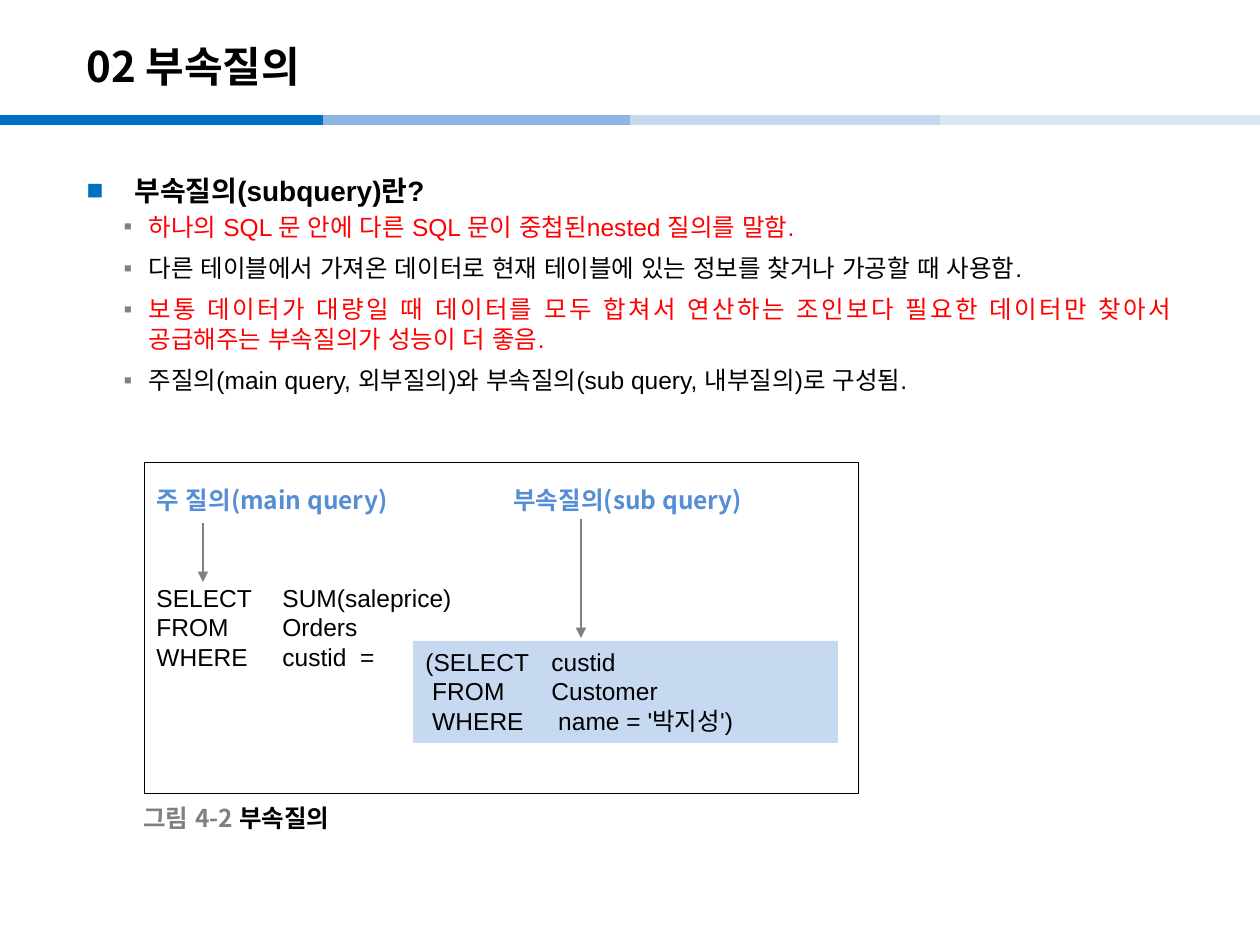
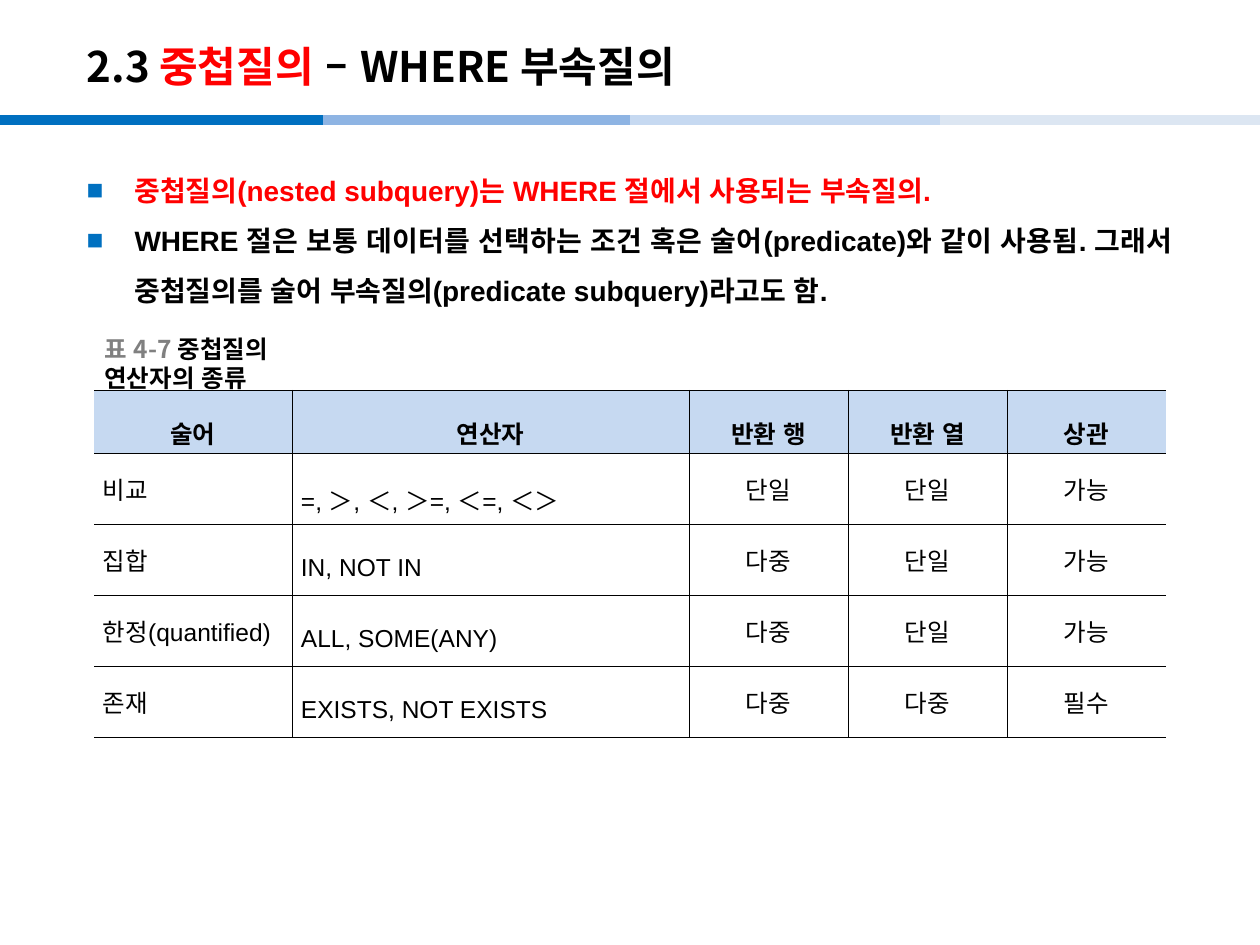
"""Build two lecture slides on SQL subqueries."""
from lxml.etree import SubElement as Sub
from pptx import Presentation as Deck
from pptx.dml.color import RGBColor as RGB
from pptx.enum.lang import MSO_LANGUAGE_ID as Lang
from pptx.enum.shapes import MSO_CONNECTOR as Link, MSO_SHAPE as Shape
from pptx.enum.text import MSO_ANCHOR as Anchor, MSO_AUTO_SIZE as Auto, PP_ALIGN as Align
from pptx.oxml.ns import qn
from pptx.util import Emu, Pt

HUE = {
    "black": "000000", "red": "FF0000", "gray": "808080", "blue": "0070C0",
    "mid": "8EB4E3", "pale": "C6D9F1", "faint": "DCE6F2", "label": "558ED5",
}
SANS, KOR = "Arial", "Noto Sans CJK KR"


def px(num):
    return Emu(round(num * 914400 / 126))


def hue(name):
    return RGB.from_string(HUE[name])


def write(para, text, size=14, font=SANS, color="black", bold=False, align=Align.LEFT, lead=None):
    para.alignment = align
    if lead:
        para.line_spacing = lead
    run = para.add_run()
    run.text = text
    face = run.font
    face.size, face.bold, face.name = Pt(size), bold, font
    face.color.rgb = hue(color)
    face.language_id = Lang.KOREAN
    Sub(run._r.get_or_add_rPr(), qn("a:ea"), typeface=KOR)


class Page:
    def __init__(self):
        self.deck = Deck()
        self.deck.slide_width, self.deck.slide_height = px(1260), px(945)
        self.plan = self.deck.slide_layouts[1]
        self.slide = None

    def start(self, *title):
        self.slide = self.deck.slides.add_slide(self.plan)
        if len(self.deck.slides) == 1:
            self.bands()
        frame = self.place(self.slide.shapes.title, 74, 28, 1042, 76)
        frame.vertical_anchor = Anchor.MIDDLE
        for text, color in title:
            write(frame.paragraphs[0], text, size=24, font=KOR, color=color, bold=True)

    def place(self, shape, left, top, width, height):
        shape.left, shape.top = px(left), px(top)
        shape.width, shape.height = px(width), px(height)
        shape.text_frame.auto_size = Auto.NONE
        return shape.text_frame

    def bands(self):
        for left, color in zip((0, 323, 630, 940), ("blue", "mid", "pale", "faint")):
            band = self.line(left, 120, min(left + 323, 1260), 120, color, 6)
            self.plan.shapes.element.append(band.element)

    def line(self, left, top, right, end, color, width):
        line = self.slide.shapes.add_connector(Link.STRAIGHT, px(left), px(top), px(right), px(end))
        line.line.color.rgb = hue(color)
        line.line.width = Pt(width)
        Sub(line.element.spPr, qn("a:effectLst"))
        return line

    def arrow(self, left, top, end):
        line = self.line(left, top, left, end, "gray", 0.75)
        Sub(line.element.spPr.find(qn("a:ln")), qn("a:tailEnd"), type="triangle")

    def body(self, *items):
        frame = self.place(self.slide.placeholders[1], 74, 150, 1111, 753)
        for num, (level, text, color) in enumerate(items):
            para = frame.add_paragraph() if num else frame.paragraphs[0]
            para.level = level
            if level:
                para.space_after = Pt(4)
                write(para, text, color=color, align=Align.JUSTIFY)
                self.bullet(para, "▪", "gray", 62, 25)
            else:
                para.space_before = Pt(0)
                write(para, text, size=16, color=color, bold=True, align=Align.JUSTIFY, lead=1.5)
                self.bullet(para, "■", "blue", 48, 48)

    def bullet(self, para, char, color, left, hang):
        props = para._p.get_or_add_pPr()
        props.set("marL", str(px(left)))
        props.set("indent", str(-px(hang)))
        Sub(Sub(props, qn("a:buClr")), qn("a:srgbClr"), val=HUE[color])
        Sub(props, qn("a:buFont"), typeface=SANS)
        Sub(props, qn("a:buChar"), char=char)

    def code(self, left, top, width, height, rows, fill=None, edge=None, inset=6):
        box = self.slide.shapes.add_shape(Shape.RECTANGLE, px(left), px(top), px(width), px(height))
        box.shadow.inherit = False
        if fill:
            box.fill.solid()
            box.fill.fore_color.rgb = hue(fill)
        else:
            box.fill.background()
        if edge:
            box.line.color.rgb = hue(edge)
            box.line.width = Pt(0.25)
        else:
            box.line.fill.background()
        frame = box.text_frame
        frame.word_wrap, frame.vertical_anchor = True, Anchor.TOP
        frame.margin_top = px(inset)
        for num, row in enumerate(rows):
            write(frame.add_paragraph() if num else frame.paragraphs[0], row)

    def label(self, left, top, width, height, *runs, anchor=Anchor.TOP):
        box = self.slide.shapes.add_textbox(px(left), px(top), px(width), px(height))
        frame = box.text_frame
        frame.word_wrap, frame.vertical_anchor = False, anchor
        for text, color in runs:
            write(frame.paragraphs[0], text, font=KOR, color=color, bold=True)

    def caption(self, left, top, mark, text):
        self.label(left, top, 263, 39, (mark, "gray"), (text, "black"), anchor=Anchor.MIDDLE)

    def table(self, left, top, cols, tall, rows):
        grid = self.slide.shapes.add_table(
            len(rows), len(cols), px(left), px(top), px(sum(cols)), px(sum(tall))).table
        grid.first_row = grid.horz_banding = False
        for col, width in zip(grid.columns, cols):
            col.width = px(width)
        for row, height in zip(grid.rows, tall):
            row.height = px(height)
        for y, row in enumerate(rows):
            for x, text in enumerate(row):
                head = y == 0
                cell = grid.cell(y, x)
                self.cell(cell, head, {"L": x > 0, "R": x < len(cols) - 1, "T": True, "B": True})
                write(cell.text_frame.paragraphs[0], text, bold=head,
                      align=Align.CENTER if head or x > 1 else Align.LEFT,
                      lead=1.6 if head or x == 1 else None)

    def cell(self, cell, head, sides):
        cell.vertical_anchor = Anchor.MIDDLE
        cell.margin_left = cell.margin_right = px(9)
        cell.margin_top = cell.margin_bottom = px(3)
        props = cell._tc.get_or_add_tcPr()
        for side, shown in sides.items():
            edge = Sub(props, qn("a:ln" + side), w=str(Pt(0.28)))
            if shown:
                Sub(Sub(edge, qn("a:solidFill")), qn("a:srgbClr"), val=HUE["black"])
            else:
                Sub(edge, qn("a:noFill"))
        if head:
            cell.fill.solid()
            cell.fill.fore_color.rgb = hue("pale")
        else:
            cell.fill.background()


def intro(page):
    page.start(("02 부속질의", "black"))
    page.body(
        (0, "부속질의(subquery)란?", "black"),
        (1, "하나의 SQL 문 안에 다른 SQL 문이 중첩된nested 질의를 말함.", "red"),
        (1, "다른 테이블에서 가져온 데이터로 현재 테이블에 있는 정보를 찾거나 가공할 때 사용함.", "black"),
        (1, "보통 데이터가 대량일 때 데이터를 모두 합쳐서 연산하는 조인보다 필요한 데이터만 찾아서 "
            "공급해주는 부속질의가 성능이 더 좋음.", "red"),
        (1, "주질의(main query, 외부질의)와 부속질의(sub query, 내부질의)로 구성됨.", "black"),
    )
    page.code(144, 462, 714, 331, ("SELECT\tSUM(saleprice)", "FROM\tOrders", "WHERE\tcustid  ="),
              edge="black", inset=121)
    page.code(413, 641, 425, 102, ("(SELECT\tcustid", " FROM\tCustomer", " WHERE\t name = '박지성')"),
              fill="pale")
    page.label(144, 479, 276, 43, ("주 질의(main query)", "label"))
    page.label(501, 479, 275, 43, ("부속질의(sub query)", "label"))
    page.arrow(203, 523, 582)
    page.arrow(581, 519, 638)
    page.caption(131, 798, "그림 4-2 ", "부속질의")


def nested(page):
    page.start(("2.3 ", "black"), ("중첩질의 ", "red"), ("– WHERE 부속질의", "black"))
    page.body(
        (0, "중첩질의(nested subquery)는 WHERE 절에서 사용되는 부속질의.", "red"),
        (0, "WHERE 절은 보통 데이터를 선택하는 조건 혹은 술어(predicate)와 같이 사용됨. "
            "그래서 중첩질의를 술어 부속질의(predicate subquery)라고도 함.", "black"),
    )
    page.table(94, 390, [198, 397] + [159] * 3, [58] + [71] * 4, (
        ("술어", "연산자", "반환 행", "반환 열", "상관"),
        ("비교", "=, ＞, ＜, ＞=, ＜=, ＜＞", "단일", "단일", "가능"),
        ("집합", "IN, NOT IN", "다중", "단일", "가능"),
        ("한정(quantified)", "ALL, SOME(ANY)", "다중", "단일", "가능"),
        ("존재", "EXISTS, NOT EXISTS", "다중", "다중", "필수"),
    ))
    page.caption(92, 344, "표 4-7 ", "중첩질의 연산자의 종류")


def main():
    page = Page()
    intro(page)
    nested(page)
    page.deck.save("out.pptx")


if __name__ == "__main__":
    main()
